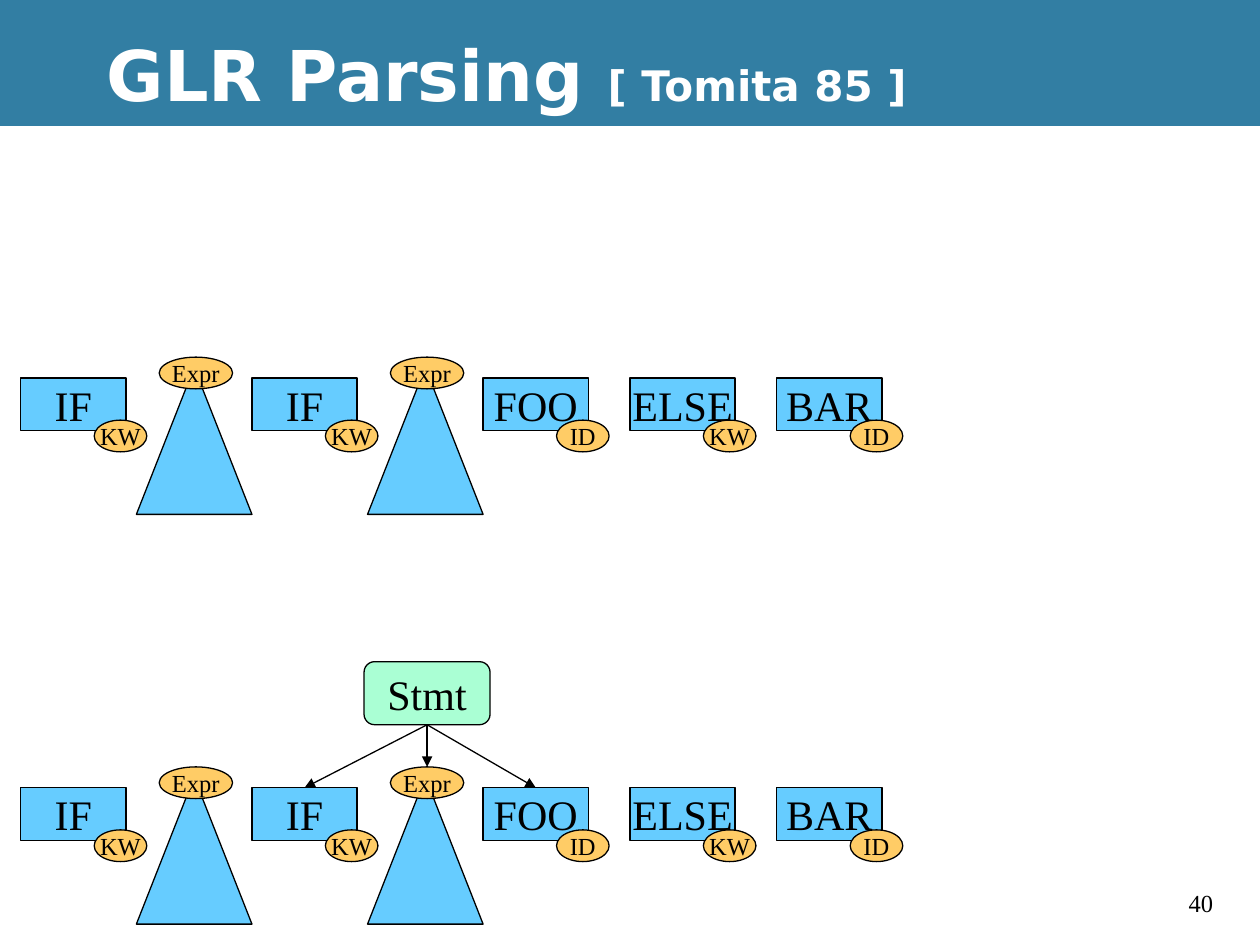
from dataclasses import dataclass

from lxml import etree
from pptx import Presentation
from pptx.dml.color import RGBColor
from pptx.enum.shapes import MSO_CONNECTOR, MSO_SHAPE
from pptx.enum.text import MSO_ANCHOR, PP_ALIGN
from pptx.oxml.ns import qn
from pptx.shapes.autoshape import Shape
from pptx.shapes.shapetree import GroupShapes, SlideShapes
from pptx.slide import Slide
from pptx.text.text import _Run
from pptx.util import Cm, Pt

RECTANGLE = MSO_SHAPE.RECTANGLE
ROUNDED = MSO_SHAPE.ROUNDED_RECTANGLE
OVAL = MSO_SHAPE.OVAL
TRIANGLE = MSO_SHAPE.ISOSCELES_TRIANGLE
STRAIGHT = MSO_CONNECTOR.STRAIGHT
MIDDLE = MSO_ANCHOR.MIDDLE
CENTER = PP_ALIGN.CENTER

SERIF = "Times New Roman"
SANS = "DejaVu Sans"
BLACK, WHITE = "000000", "FFFFFF"
BLUE, ORANGE, GREEN, TEAL = "66CCFF", "FFCC66", "AAFFD4", "327EA3"
TOP, BOTTOM = 0, 2
ROW_TOPS = (7.62, 15.88)


@dataclass(frozen=True)
class Area:
    left: float
    top: float
    width: float
    height: float

    def lengths(self) -> tuple[Cm, Cm, Cm, Cm]:
        return Cm(self.left), Cm(self.top), Cm(self.width), Cm(self.height)


@dataclass(frozen=True)
class Token:
    left: float
    word: str
    kind: str


TOKENS = (
    Token(0.42, "IF", "KW"),
    Token(5.08, "IF", "KW"),
    Token(9.74, "FOO", "ID"),
    Token(12.7, "ELSE", "KW"),
    Token(15.66, "BAR", "ID"),
)
EXPRESSION_LEFTS = (2.75, 7.41)


def color(value: str) -> RGBColor:
    return RGBColor.from_string(value)


def format_span(span: _Run, size: int, font: str = SERIF, ink: str = BLACK) -> None:
    span.font.size = Pt(size)
    span.font.name = font
    span.font.color.rgb = color(ink)


def draw_shape(shapes: SlideShapes | GroupShapes, preset: MSO_SHAPE, area: Area,
               fill: str, outlined: bool = True) -> Shape:
    shape = shapes.add_shape(preset, *area.lengths())
    shape.shadow.inherit = False
    shape.fill.solid()
    shape.fill.fore_color.rgb = color(fill)
    if outlined:
        shape.line.color.rgb = color(BLACK)
        shape.line.width = Pt(0.75)
    else:
        shape.line.fill.background()
    return shape


def label_shape(shape: Shape, text: str, size: int) -> None:
    frame = shape.text_frame
    frame.text = text
    frame.word_wrap = False
    frame.vertical_anchor = MIDDLE
    para = frame.paragraphs[0]
    para.alignment = CENTER
    format_span(para.runs[0], size)


def draw_token(slide: Slide, token: Token, top: float) -> Shape:
    shapes = slide.shapes.add_group_shape().shapes
    box = draw_shape(shapes, RECTANGLE, Area(token.left, top, 2.12, 1.06), BLUE)
    label_shape(box, token.word, 24)
    badge = draw_shape(shapes, OVAL, Area(token.left + 1.48, top + 0.85, 1.06, 0.64), ORANGE)
    label_shape(badge, token.kind, 14)
    return box


def draw_expression(slide: Slide, left: float, top: float) -> Shape:
    shapes = slide.shapes.add_group_shape().shapes
    draw_shape(shapes, TRIANGLE, Area(left, top - 0.21, 2.33, 2.96), BLUE)
    badge = draw_shape(shapes, OVAL, Area(left + 0.46, top - 0.42, 1.48, 0.64), ORANGE)
    label_shape(badge, "Expr", 14)
    return badge


def draw_arrow(slide: Slide, parent: Shape, child: Shape) -> None:
    arrow = slide.shapes.add_connector(STRAIGHT, 0, 0, 0, 0)
    arrow.begin_connect(parent, BOTTOM)
    arrow.end_connect(child, TOP)
    arrow.line.color.rgb = color(BLACK)
    arrow.line.width = Pt(0.75)
    etree.SubElement(arrow.line._get_or_add_ln(), qn("a:tailEnd"), type="triangle")
    etree.SubElement(arrow._element.spPr, qn("a:effectLst"))


def draw_frame(slide: Slide) -> None:
    draw_shape(slide.shapes, RECTANGLE, Area(0, 2.54, 25.4, 16.51), WHITE, False)
    draw_shape(slide.shapes, RECTANGLE, Area(0, 0, 25.4, 2.54), TEAL, False)

    number = slide.shapes.add_textbox(*Area(23.71, 17.78, 1.27, 0.85).lengths())
    number.text_frame.text = "40"
    format_span(number.text_frame.paragraphs[0].runs[0], 14)

    title = slide.shapes.add_textbox(*Area(1.9, 0.21, 23.5, 2.54).lengths())
    title.text_frame.word_wrap = True
    title.text_frame.vertical_anchor = MIDDLE
    para = title.text_frame.paragraphs[0]
    for text, size in (("GLR Parsing ", 40), ("[ Tomita 85 ]", 24)):
        span = para.add_run()
        span.text = text
        format_span(span, size, SANS, WHITE)
        span.font.bold = True


def main() -> None:
    deck = Presentation()
    deck.slide_width, deck.slide_height = Cm(25.4), Cm(19.05)
    slide = deck.slides.add_slide(deck.slide_layouts[6])
    slide.background.fill.solid()
    slide.background.fill.fore_color.rgb = color(BLACK)
    draw_frame(slide)

    for top in ROW_TOPS:
        boxes = [draw_token(slide, token, top) for token in TOKENS]
        badges = [draw_expression(slide, left, top) for left in EXPRESSION_LEFTS]

    statement = draw_shape(slide.shapes, ROUNDED, Area(7.34, 13.34, 2.54, 1.27), GREEN)
    label_shape(statement, "Stmt", 24)
    for child in (boxes[1], badges[1], boxes[2]):
        draw_arrow(slide, statement, child)

    deck.save("out.pptx")


if __name__ == "__main__":
    main()
